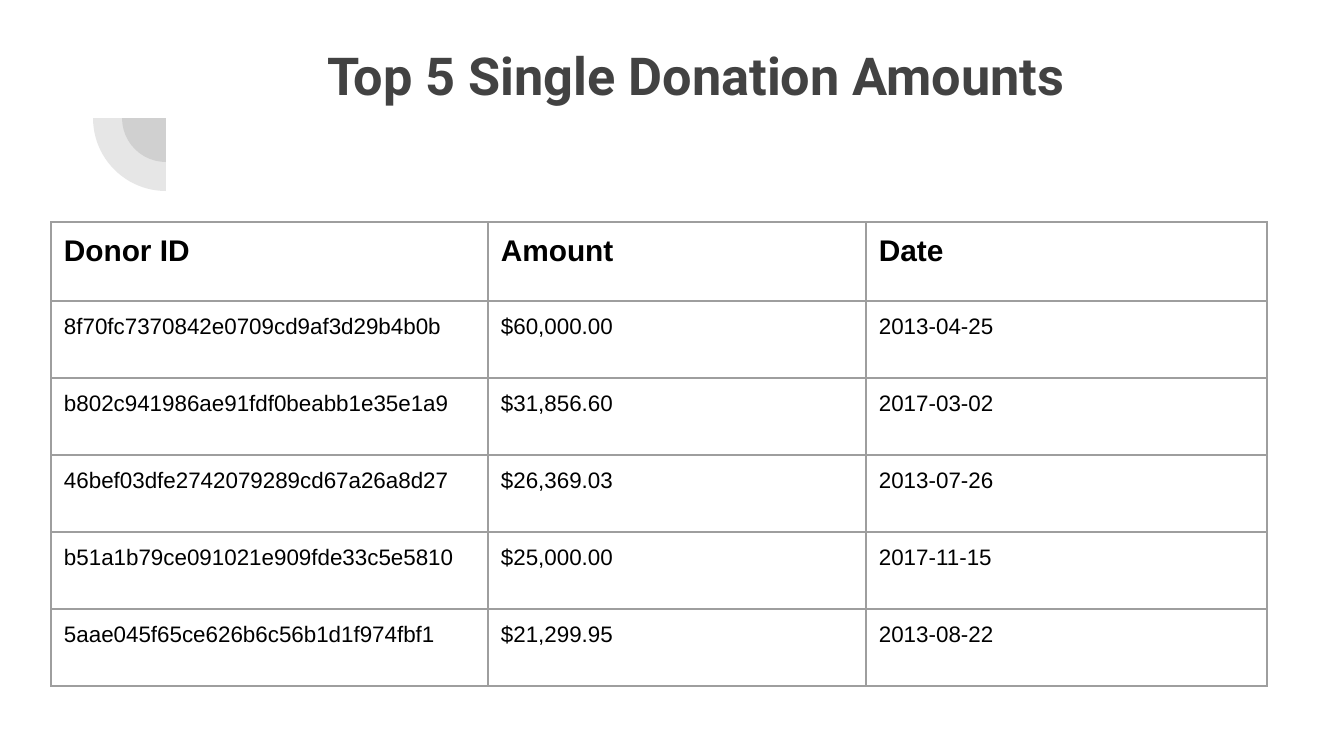
from lxml import etree
from pptx import Presentation
from pptx.dml.color import RGBColor
from pptx.enum.shapes import MSO_SHAPE
from pptx.enum.text import MSO_ANCHOR, PP_ALIGN
from pptx.oxml.ns import qn
from pptx.util import Emu, Pt

PIE = MSO_SHAPE.PIE
TOP = MSO_ANCHOR.TOP
LEFT = PP_ALIGN.LEFT

# Content
TITLE = "Top 5 Single Donation Amounts"
HEADER = ("Donor ID", "Amount", "Date")
DONATIONS = [
    ("8f70fc7370842e0709cd9af3d29b4b0b", "$60,000.00", "2013-04-25"),
    ("b802c941986ae91fdf0beabb1e35e1a9", "$31,856.60", "2017-03-02"),
    ("46bef03dfe2742079289cd67a26a8d27", "$26,369.03", "2013-07-26"),
    ("b51a1b79ce091021e909fde33c5e5810", "$25,000.00", "2017-11-15"),
    ("5aae045f65ce626b6c56b1d1f974fbf1", "$21,299.95", "2013-08-22"),
]

THEME = {
    "title_font": "Roboto", "body_font": "Arial",
    "dark": "424242", "text": "000000", "border": "9E9E9E",
    "title_size": 28, "header_size": 16, "body_size": 12,
    "border_width": 0.75, "pie_opacity": 13,
}

# Layout in px
SLIDE_WIDTH, SLIDE_HEIGHT = 1344, 756
TITLE_BOX = (146, 30, 1034, 146)
TITLE_INDENT = 181
INSET = 13
PIE_CENTER = (166, 118)
PIE_RADII = (44, 73)
TABLE_LEFT, TABLE_TOP = 51, 222
COLUMN_WIDTHS = (437, 378, 401)
HEADER_HEIGHT, ROW_HEIGHT = 79, 77


def px(value):
    return Emu(round(value * 914400 / 134.4))


def set_font(paragraph, font, size, color, bold):
    paragraph.alignment = LEFT
    paragraph.font.name = font
    paragraph.font.size = Pt(size)
    paragraph.font.bold = bold
    paragraph.font.color.rgb = RGBColor.from_string(color)


def set_insets(target, left=INSET):
    target.margin_left = px(left)
    target.margin_top = target.margin_right = target.margin_bottom = px(INSET)
    target.vertical_anchor = TOP


def add_quarter_disc(slide, radius):
    center_x, center_y = PIE_CENTER
    shape = slide.shapes.add_shape(
        PIE, px(center_x - radius), px(center_y - radius), px(2 * radius), px(2 * radius))
    shape.adjustments[0], shape.adjustments[1] = 108, 162
    shape.rotation = 270
    shape.shadow.inherit = False
    shape.line.fill.background()
    shape.fill.solid()
    shape.fill.fore_color.rgb = RGBColor.from_string(THEME["dark"])
    color = next(shape.element.spPr.iter(qn("a:srgbClr")))
    etree.SubElement(color, qn("a:alpha"), val=str(THEME["pie_opacity"] * 1000))


def set_borders(cell):
    properties = cell._tc.get_or_add_tcPr()
    for index, side in enumerate(("a:lnL", "a:lnR", "a:lnT", "a:lnB")):
        line = etree.Element(qn(side), w=str(Pt(THEME["border_width"])))
        fill = etree.SubElement(line, qn("a:solidFill"))
        etree.SubElement(fill, qn("a:srgbClr"), val=THEME["border"])
        properties.insert(index, line)


def add_donation_table(slide):
    rows = [HEADER] + DONATIONS
    heights = [HEADER_HEIGHT] + [ROW_HEIGHT] * len(DONATIONS)
    table = slide.shapes.add_table(
        len(rows), len(HEADER), px(TABLE_LEFT), px(TABLE_TOP),
        px(sum(COLUMN_WIDTHS)), px(sum(heights))).table
    table.first_row = table.horz_banding = False
    for column, width in zip(table.columns, COLUMN_WIDTHS):
        column.width = px(width)
    for row_index, values in enumerate(rows):
        table.rows[row_index].height = px(heights[row_index])
        is_header = row_index == 0
        size = THEME["header_size" if is_header else "body_size"]
        for column_index, value in enumerate(values):
            cell = table.cell(row_index, column_index)
            cell.text = value
            cell.fill.background()
            set_insets(cell)
            set_borders(cell)
            set_font(cell.text_frame.paragraphs[0], THEME["body_font"], size,
                     THEME["text"], is_header)


def main():
    presentation = Presentation()
    presentation.slide_width = px(SLIDE_WIDTH)
    presentation.slide_height = px(SLIDE_HEIGHT)
    slide = presentation.slides.add_slide(presentation.slide_layouts[5])

    # Title
    title = slide.shapes.title
    title.left, title.top, title.width, title.height = map(px, TITLE_BOX)
    title.text_frame.text = TITLE
    title.text_frame.word_wrap = True
    set_insets(title.text_frame, TITLE_INDENT)
    set_font(title.text_frame.paragraphs[0], THEME["title_font"],
             THEME["title_size"], THEME["dark"], True)

    # Corner ornament
    for radius in PIE_RADII:
        add_quarter_disc(slide, radius)

    # Donations
    add_donation_table(slide)
    presentation.save("out.pptx")


if __name__ == "__main__":
    main()
